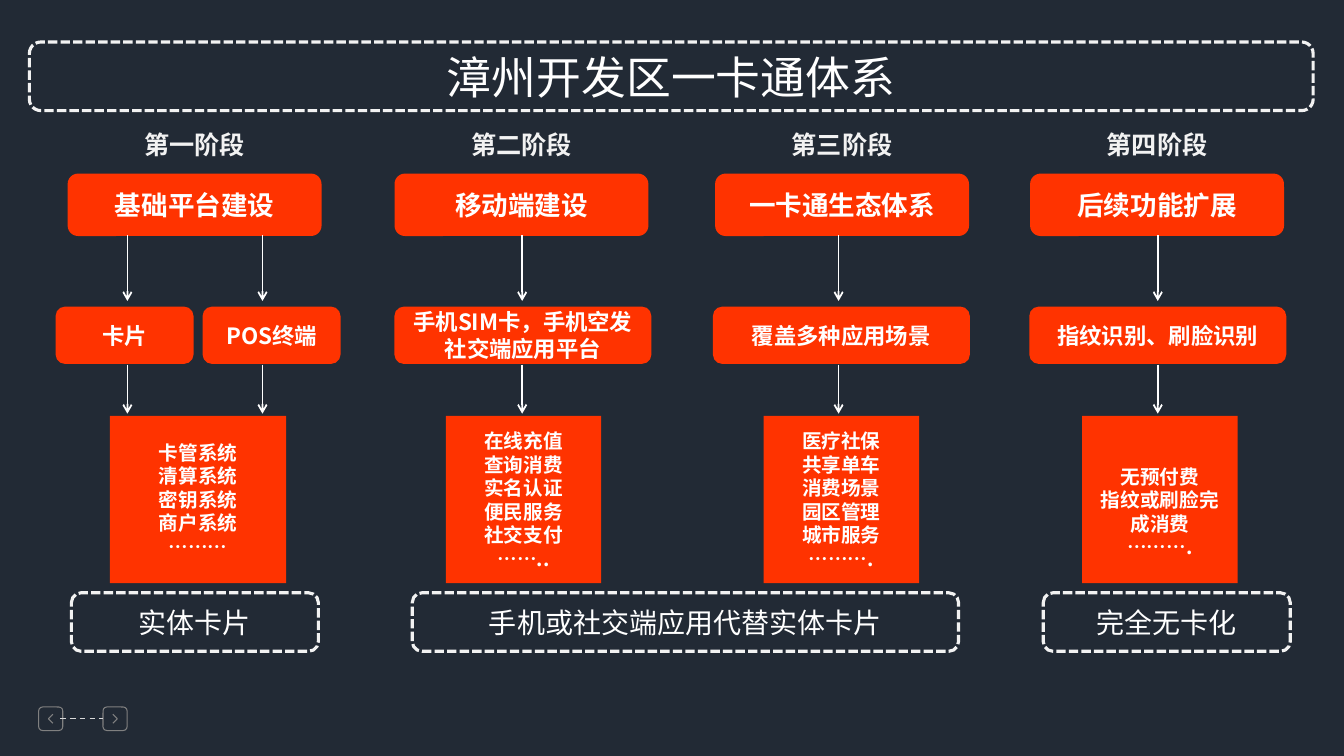
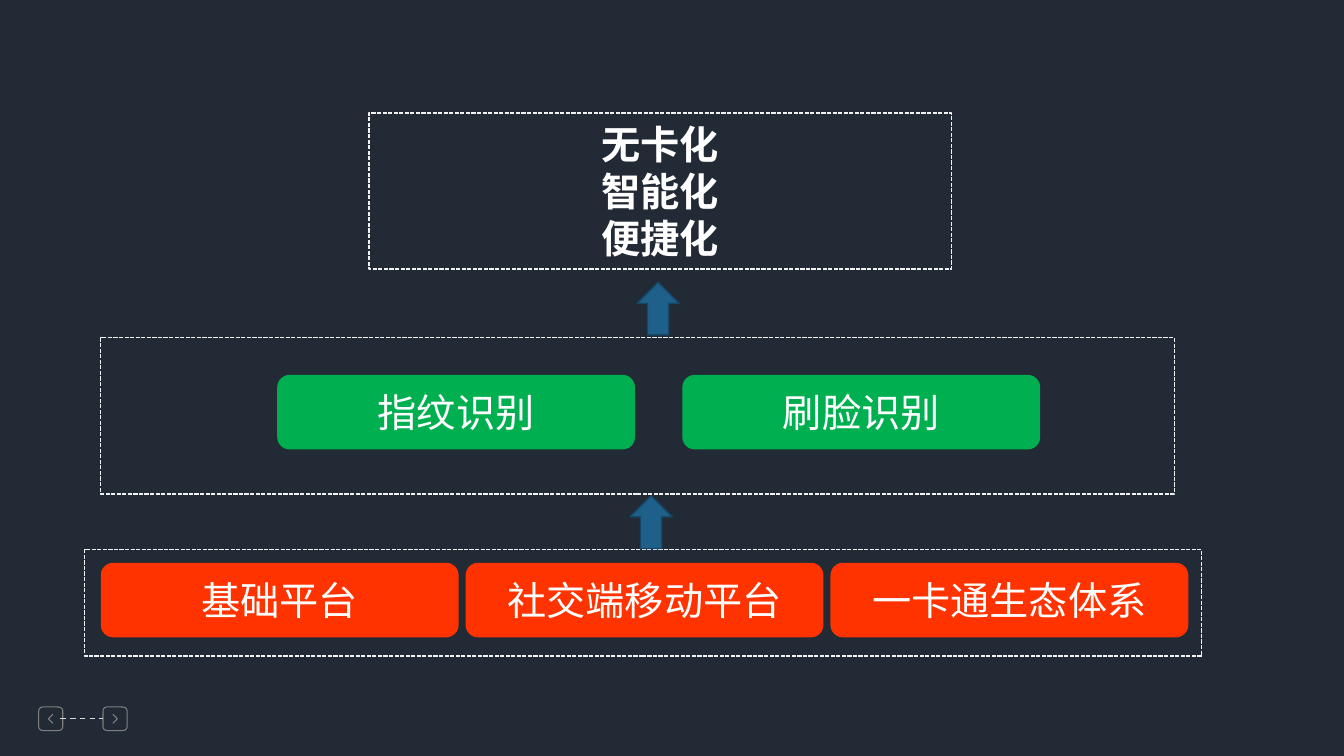
from dataclasses import dataclass

from lxml import etree
from pptx import Presentation
from pptx.dml.color import RGBColor
from pptx.enum.dml import MSO_LINE
from pptx.enum.shapes import MSO_CONNECTOR, MSO_SHAPE
from pptx.enum.text import MSO_ANCHOR, PP_ALIGN
from pptx.oxml.ns import qn
from pptx.util import Pt

ROUND = MSO_SHAPE.ROUNDED_RECTANGLE
RECT = MSO_SHAPE.RECTANGLE
UP = MSO_SHAPE.UP_ARROW
STRAIGHT = MSO_CONNECTOR.STRAIGHT
DASH = MSO_LINE.DASH
DOTS = MSO_LINE.SQUARE_DOT
CENTER = PP_ALIGN.CENTER
MIDDLE = MSO_ANCHOR.MIDDLE


@dataclass(frozen=True)
class Theme:
    font: str = "Noto Sans CJK SC"
    back: str = "222A35"
    white: str = "FFFFFF"
    pale: str = "F2F2F2"
    link: str = "D9D9D9"
    gray: str = "808080"
    red: str = "FF3300"
    green: str = "00B050"
    blue: str = "1F608B"
    navy: str = "174767"
    title: float = 32
    large: float = 28
    base: float = 20
    head: float = 19
    stage: float = 18
    step: float = 16
    list: float = 14
    lead: float = 1.2


def write(shape, text, font, size, color, bold=False, lead=1.2, pad=5, drop=0):
    frame = shape.text_frame
    frame.word_wrap = True
    frame.vertical_anchor = MIDDLE
    frame.margin_left = frame.margin_right = Pt(pad)
    frame.margin_top, frame.margin_bottom = Pt(3.6 + drop), Pt(3.6)
    for index, line in enumerate(text.split("\n")):
        para = frame.add_paragraph() if index else frame.paragraphs[0]
        para.alignment = CENTER
        para.line_spacing = Pt(size * lead)
        run = para.add_run()
        run.text = line
        run.font.size = Pt(size)
        run.font.bold = bold
        run.font.color.rgb = RGBColor.from_string(color)
        run.font.name = font
        east = etree.SubElement(run.font._element, qn("a:ea"))
        east.set("typeface", font)


class Deck:
    def __init__(self, theme):
        self.theme = theme
        self.show = Presentation()
        self.show.slide_width, self.show.slide_height = Pt(960), Pt(540)
        fill = self.show.slide_master.background.fill
        fill.solid()
        fill.fore_color.rgb = RGBColor.from_string(theme.back)

    def page(self):
        self.slide = self.show.slides.add_slide(self.show.slide_layouts[6])
        self.shapes = self.slide.shapes
        self.pager()

    def text(self, shape, text, size, color=None, **format):
        theme = self.theme
        write(shape, text, theme.font, size, color or theme.white,
              lead=theme.lead, **format)

    def stroke(self, line, color, width, dash=None):
        line.color.rgb = RGBColor.from_string(color)
        line.width = Pt(width)
        if dash:
            line.dash_style = dash

    def shape(self, kind, x, y, w, h, fill=None, line=None, width=1, dash=None):
        shape = self.shapes.add_shape(kind, Pt(x), Pt(y), Pt(w), Pt(h))
        shape.shadow.inherit = False
        if fill:
            shape.fill.solid()
            shape.fill.fore_color.rgb = RGBColor.from_string(fill)
        else:
            shape.fill.background()
        if line:
            self.stroke(shape.line, line, width, dash)
        else:
            shape.line.fill.background()
        return shape

    def box(self, text, x, y, w, h, size, fill, kind=ROUND, **format):
        shape = self.shape(kind, x, y, w, h, fill)
        self.text(shape, text, size, **format)

    def frame(self, x, y, w, h, kind=RECT, width=1):
        return self.shape(kind, x, y, w, h, None, self.theme.pale, width, DOTS)

    def panel(self, text, x, y, w, h, size):
        self.text(self.frame(x, y, w, h, ROUND, 2.25), text, size)

    def label(self, text, x, y, w, h):
        shape = self.shapes.add_textbox(Pt(x), Pt(y), Pt(w), Pt(h))
        self.text(shape, text, self.theme.stage, self.theme.pale, bold=True)

    def line(self, start, end, color, width, dash=None, arrow=False):
        ends = [Pt(value) for value in (*start, *end)]
        line = self.shapes.add_connector(STRAIGHT, *ends)
        self.stroke(line.line, color, width, dash)
        if arrow:
            tail = etree.SubElement(line.line._get_or_add_ln(), qn("a:tailEnd"))
            tail.set("type", "arrow")
        etree.SubElement(line._element.spPr, qn("a:effectLst"))

    def arrow(self, x, top, end):
        self.line((x, top), (x, end), self.theme.white, 1.25, arrow=True)

    def rise(self, x, y):
        self.shape(UP, x, y, 30.2, 37.6, self.theme.blue, self.theme.navy)

    def mark(self, x, y, side):
        gray = self.theme.gray
        self.shape(ROUND, x - 8.6, y - 8.4, 17.2, 16.8, None, gray, 0.75)
        tip, back = Pt(x + 1.6 * side), Pt(x - 1.6 * side)
        pen = self.shapes.build_freeform(back, Pt(y - 3.2))
        pen.add_line_segments([(tip, Pt(y)), (back, Pt(y + 3.2))], close=False)
        shape = pen.convert_to_shape()
        shape.shadow.inherit = False
        shape.fill.background()
        self.stroke(shape.line, gray, 0.75)

    def pager(self):
        for x, side in ((36.2, -1), (82.2, 1)):
            self.mark(x, 513.4, side)
        self.line((43.2, 513.4), (73.4, 513.4), self.theme.link, 1, DASH)


def stages(deck):
    theme = deck.theme
    deck.page()
    deck.panel("漳州开发区一卡通体系", 21, 30, 917, 49, theme.title)
    plan = [
        (139, "第一阶段", "基础平台建设",
         [("卡片", 89, 98.6, 91), ("POS终端", 194, 98.6, 187.5)],
         "卡管系统\n清算系统\n密钥系统\n商户系统\n………", 141.5, 126, 0),
        (372.5, "第二阶段", "移动端建设",
         [("手机SIM卡，手机空发社交端应用平台", 373.5, 183.6, 373)],
         "在线充值\n查询消费\n实名认证\n便民服务\n社交支付\n……..", 374, 111, 0),
        (601.5, "第三阶段", "一卡通生态体系",
         [("覆盖多种应用场景", 601, 183.6, 599)],
         "医疗社保\n共享单车\n消费场景\n园区管理\n城市服务\n……….", 601, 111, 0),
        (826.5, "第四阶段", "后续功能扩展",
         [("指纹识别、刷脸识别", 827, 183.6, 827)],
         "无预付费\n指纹或刷脸完成消费\n……….", 828.5, 111, 17),
    ]
    for mid, stage, head, steps, items, core, wide, drop in plan:
        deck.label(stage, mid - 80, 89, 160, 28.8)
        deck.box(head, mid - 90.7, 124, 181.4, 44.6, theme.head, theme.red,
                 bold=True)
        for step, x, w, way in steps:
            deck.box(step, x - w / 2, 219, w, 41, theme.step, theme.red,
                     bold=True)
            deck.arrow(way, 168, 215)
            deck.arrow(way, 260.5, 295.5)
        deck.box(items, core - wide / 2, 297, wide, 119.6, theme.list,
                 theme.red, RECT, bold=True, pad=8, drop=drop)
    for text, x, w in (("实体卡片", 51, 176.4),
                       ("手机或社交端应用代替实体卡片", 294.5, 390.2),
                       ("完全无卡化", 745.2, 176.4)):
        deck.panel(text, x, 423.4, w, 41.8, theme.base)


def goals(deck):
    theme = deck.theme
    deck.page()
    deck.frame(72, 241.2, 766.8, 111.6)
    deck.frame(60.5, 392.4, 797.8, 76.3)
    rows = [
        (402, 72, 260.6, theme.red, ("基础平台", "社交端移动平台", "一卡通生态体系")),
        (267.8, 198, 289.4, theme.green, ("指纹识别", "刷脸识别")),
    ]
    for y, left, gap, fill, names in rows:
        for index, name in enumerate(names):
            deck.box(name, left + index * gap, y, 255.6, 53.3, theme.large, fill)
    deck.rise(450, 354.2)
    deck.rise(455, 201.6)
    goal = deck.frame(263.5, 80.6, 416.2, 111.6)
    deck.text(goal, "无卡化\n智能化\n便捷化", theme.large, bold=True)


def main():
    deck = Deck(Theme())
    stages(deck)
    goals(deck)
    deck.show.save("out.pptx")


if __name__ == "__main__":
    main()
